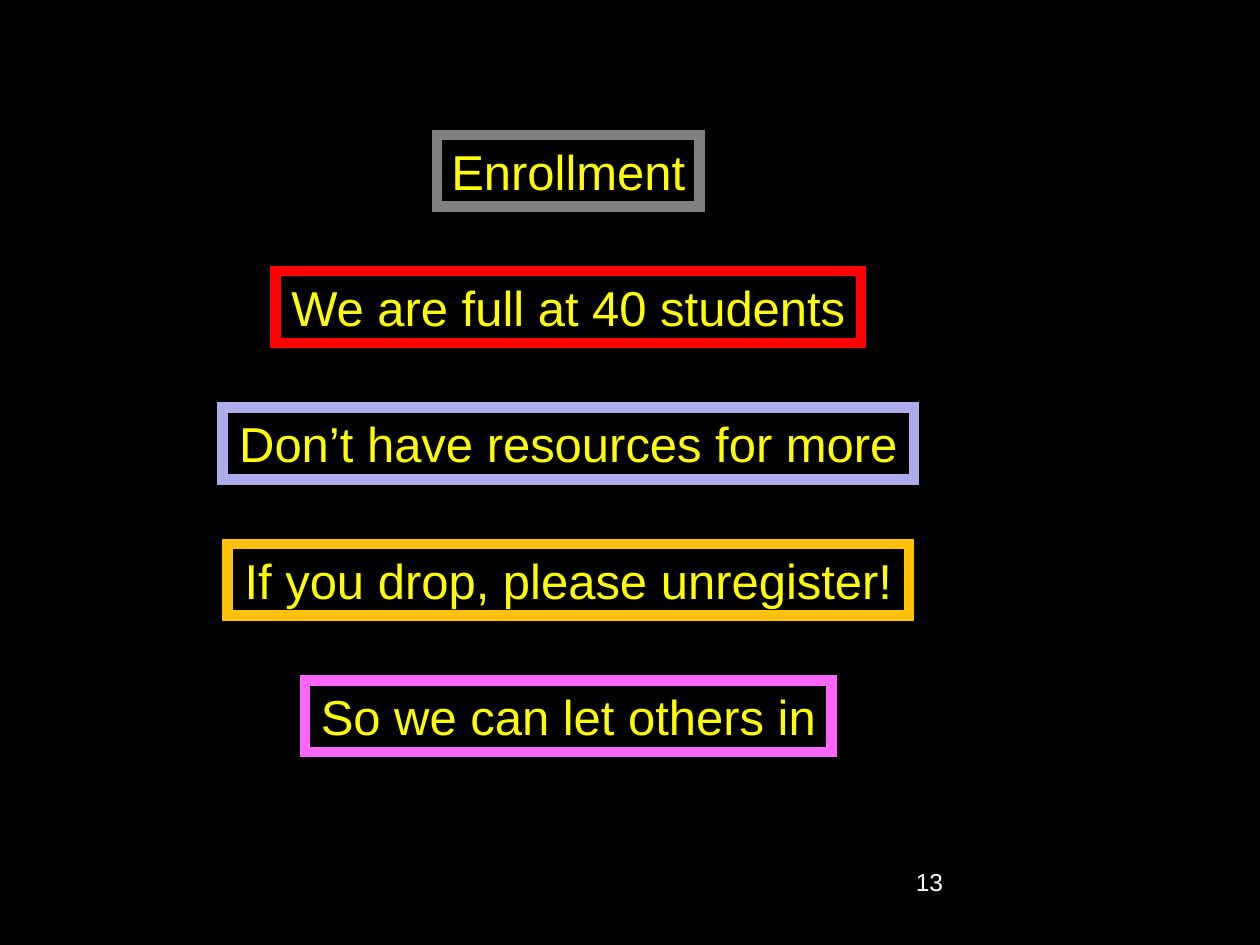
from lxml.etree import SubElement
from pptx import Presentation
from pptx.dml.color import RGBColor
from pptx.enum.shapes import MSO_SHAPE
from pptx.enum.text import MSO_ANCHOR, MSO_AUTO_SIZE, PP_ALIGN
from pptx.oxml.ns import qn
from pptx.util import Inches, Pt

COLORS = {
    "black": "000000", "white": "FFFFFF", "yellow": "FFFF00",
    "gray": "808080", "red": "FF0000", "lilac": "ADADEB",
    "gold": "FFC000", "pink": "FF66FF",
}
LINES = [
    ("Enrollment", 2.08, "gray"),
    ("We are full at 40 students", 4.65, "red"),
    ("Don’t have resources for more", 5.49, "lilac"),
    ("If you drop, please unregister!", 5.41, "gold"),
    ("So we can let others in", 4.18, "pink"),
]


def color(name):
    """Return the named colour."""
    return RGBColor.from_string(COLORS[name])


def write(shape, text, size=28, ink="yellow", align=PP_ALIGN.CENTER,
          wrap=False, fit=MSO_AUTO_SIZE.NONE):
    """Put formatted text in a shape."""
    frame = shape.text_frame
    frame.word_wrap = wrap
    frame.auto_size = fit
    frame.vertical_anchor = MSO_ANCHOR.TOP
    para = frame.paragraphs[0]
    para.alignment = align
    run = para.add_run()
    run.text = text
    run.font.name = "Arial"
    run.font.size = Pt(size)
    run.font.color.rgb = color(ink)


def frame_box(shape, text, edge, box, fit):
    """Place and style one square-cornered line of text."""
    shape.left, shape.top, shape.width, shape.height = box
    shape.fill.solid()
    shape.fill.fore_color.rgb = color("black")
    shape.line.color.rgb = color(edge)
    shape.line.width = Pt(6)
    line = shape.element.spPr.find(qn("a:ln"))
    SubElement(line, qn("a:miter"), lim="800000")
    write(shape, text, fit=fit)


def stack(slide, mid, top, height, tall=0.57):
    """Spread the framed lines evenly down a centred column."""
    step = (height - tall) / (len(LINES) - 1)
    for i, (text, width, edge) in enumerate(LINES):
        box = [Inches(n) for n in (mid - width / 2, top + i * step, width, tall)]
        if i == 0:
            shape, fit = slide.shapes.title, MSO_AUTO_SIZE.NONE
        else:
            shape = slide.shapes.add_shape(MSO_SHAPE.RECTANGLE, *box)
            shape.shadow.inherit = False
            fit = MSO_AUTO_SIZE.SHAPE_TO_FIT_TEXT
        frame_box(shape, text, edge, box, fit)


def number(slide, text, left, top, width, height):
    """Add the page number."""
    box = [Inches(n) for n in (left, top, width, height)]
    write(slide.shapes.add_textbox(*box), text, size=14, ink="white",
          align=PP_ALIGN.LEFT, wrap=True)


def main():
    """Build and save the slide."""
    deck = Presentation()
    deck.slide_width, deck.slide_height = Inches(10), Inches(7.5)
    slide = deck.slides.add_slide(deck.slide_layouts[5])
    slide.background.fill.solid()
    slide.background.fill.fore_color.rgb = color("black")
    number(slide, "13", 7.17, 6.83, 2.08, 0.5)
    stack(slide, mid=4.51, top=1.07, height=4.9)
    deck.save("out.pptx")


if __name__ == "__main__":
    main()
